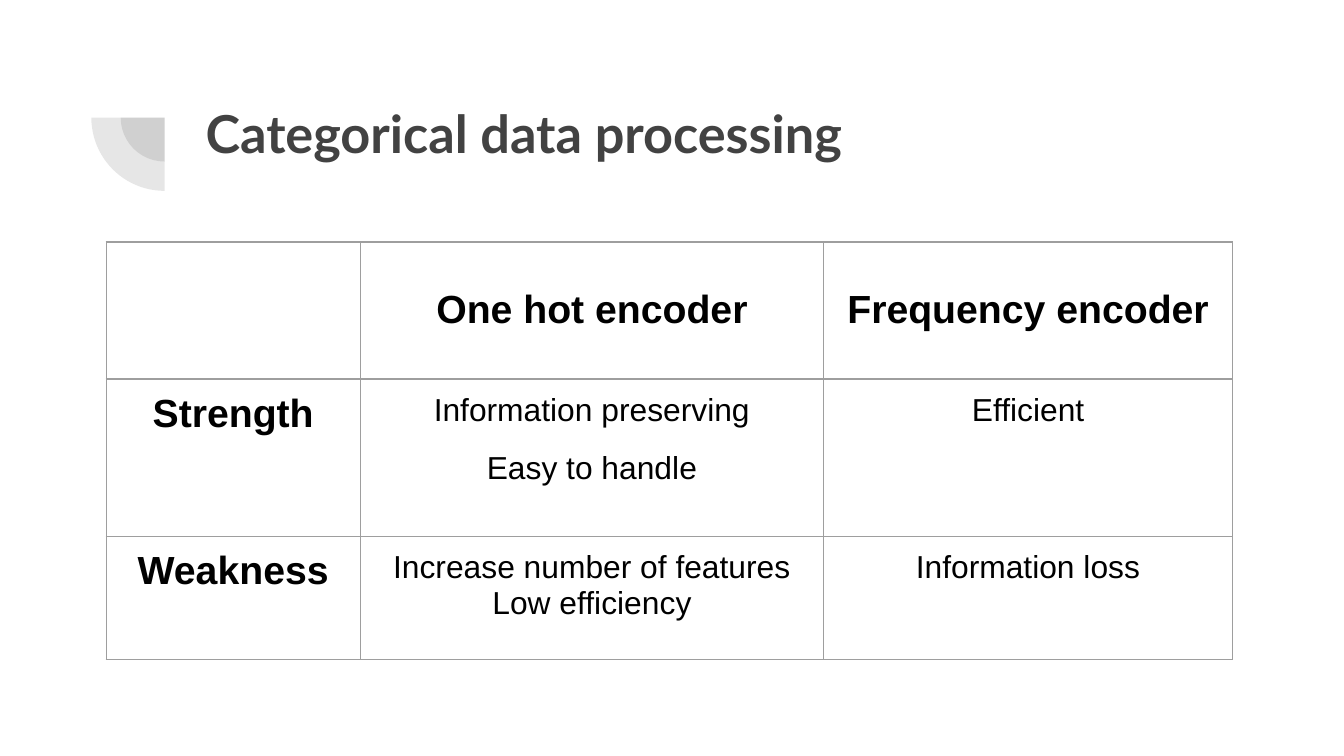
import pptx
import pptx.dml.color
import pptx.enum.shapes
import pptx.enum.text
import pptx.oxml
import pptx.oxml.ns
import pptx.util
from pptx.util import Inches

GREY = pptx.dml.color.RGBColor(0x42, 0x42, 0x42)
BLACK = pptx.dml.color.RGBColor(0, 0, 0)
BORDER = pptx.dml.color.RGBColor(0x9E, 0x9E, 0x9E)
INSET = 0.1
COLUMNS = [1.89, 3.45, 3.04]
ROWS = [1.02, 1.17, 0.92]
CELLS = [
    ["", "One hot encoder", "Frequency encoder"],
    ["Strength", "Information preserving\nEasy to handle", "Efficient"],
    ["Weakness", "Increase number of features\nLow efficiency", "Information loss"],
]


def format_runs(p, name, size, color, bold):
    """Format every run of a paragraph."""
    for r in p.runs:
        r.font.name = name
        r.font.size = pptx.util.Pt(size)
        r.font.color.rgb = color
        r.font.bold = bold


def set_insets(obj):
    """Give a cell or text frame equal margins on all sides."""
    for side in ("left", "top", "right", "bottom"):
        setattr(obj, f"margin_{side}", Inches(INSET))


def add_ornament(s, left, top, size):
    """Draw two translucent concentric quarter circles in a square box."""
    for ratio in (0.6, 1):
        side = size * ratio
        offset = (size - side) / 2
        sp = s.shapes.add_shape(
            pptx.enum.shapes.MSO_SHAPE.PIE,
            Inches(left + offset), Inches(top + offset), Inches(side), Inches(side))
        sp.adjustments[0] = 108
        sp.adjustments[1] = 162
        sp.rotation = 270
        sp.shadow.inherit = False
        sp.line.fill.background()
        sp.fill.solid()
        sp.fill.fore_color.rgb = GREY
        color = sp.fill._xPr.find(".//" + pptx.oxml.ns.qn("a:srgbClr"))
        color.append(pptx.oxml.parse_xml(
            f'<a:alpha {pptx.oxml.ns.nsdecls("a")} val="13000"/>'))


def add_title(s, left, top, width, height):
    """Place and format the title placeholder."""
    sp = s.shapes.title
    sp.left, sp.top = Inches(left), Inches(top)
    sp.width, sp.height = Inches(width), Inches(height)
    tf = sp.text_frame
    tf.text = "Categorical data processing"
    tf.word_wrap = True
    tf.auto_size = pptx.enum.text.MSO_AUTO_SIZE.NONE
    tf.vertical_anchor = pptx.enum.text.MSO_ANCHOR.TOP
    set_insets(tf)
    p = tf.paragraphs[0]
    p.alignment = pptx.enum.text.PP_ALIGN.LEFT
    format_runs(p, "Lato", 28, GREY, True)


def set_borders(cell):
    """Draw a thin border on all four sides of a cell."""
    props = cell._tc.get_or_add_tcPr()
    for i, side in enumerate(("lnL", "lnR", "lnT", "lnB")):
        props.insert(i, pptx.oxml.parse_xml(
            f'<a:{side} {pptx.oxml.ns.nsdecls("a")} w="9525"><a:solidFill>'
            f'<a:srgbClr val="{BORDER}"/></a:solidFill></a:{side}>'))


def add_comparison(s, left, top):
    """Build the table comparing the two encoders."""
    table = s.shapes.add_table(
        len(ROWS), len(COLUMNS), Inches(left), Inches(top),
        Inches(sum(COLUMNS)), Inches(sum(ROWS))).table
    table.first_row = table.horz_banding = False
    for column, width in zip(table.columns, COLUMNS):
        column.width = Inches(width)
    for i, height in enumerate(ROWS):
        table.rows[i].height = Inches(height)
        for j, text in enumerate(CELLS[i]):
            cell = table.cell(i, j)
            heading = i == 0 or j == 0
            cell.fill.background()
            set_borders(cell)
            set_insets(cell)
            if i == 0:
                cell.vertical_anchor = pptx.enum.text.MSO_ANCHOR.MIDDLE
            cell.text_frame.text = text
            for p in cell.text_frame.paragraphs:
                p.alignment = pptx.enum.text.PP_ALIGN.CENTER
                format_runs(p, "Arial", 21 if heading else 17, BLACK, heading)
    table.cell(1, 1).text_frame.paragraphs[1].space_before = pptx.util.Pt(12)


def main():
    """Build and save the presentation."""
    prs = pptx.Presentation()
    prs.slide_width = Inches(10)
    prs.slide_height = prs.slide_width * 9 // 16
    s = prs.slides.add_slide(prs.slide_layouts[5])
    add_ornament(s, 0.68, 0.33, 1.09)
    add_title(s, 1.43, 0.65, 7.69, 1.09)
    add_comparison(s, 0.79, 1.8)
    prs.save("out.pptx")


if __name__ == "__main__":
    main()
